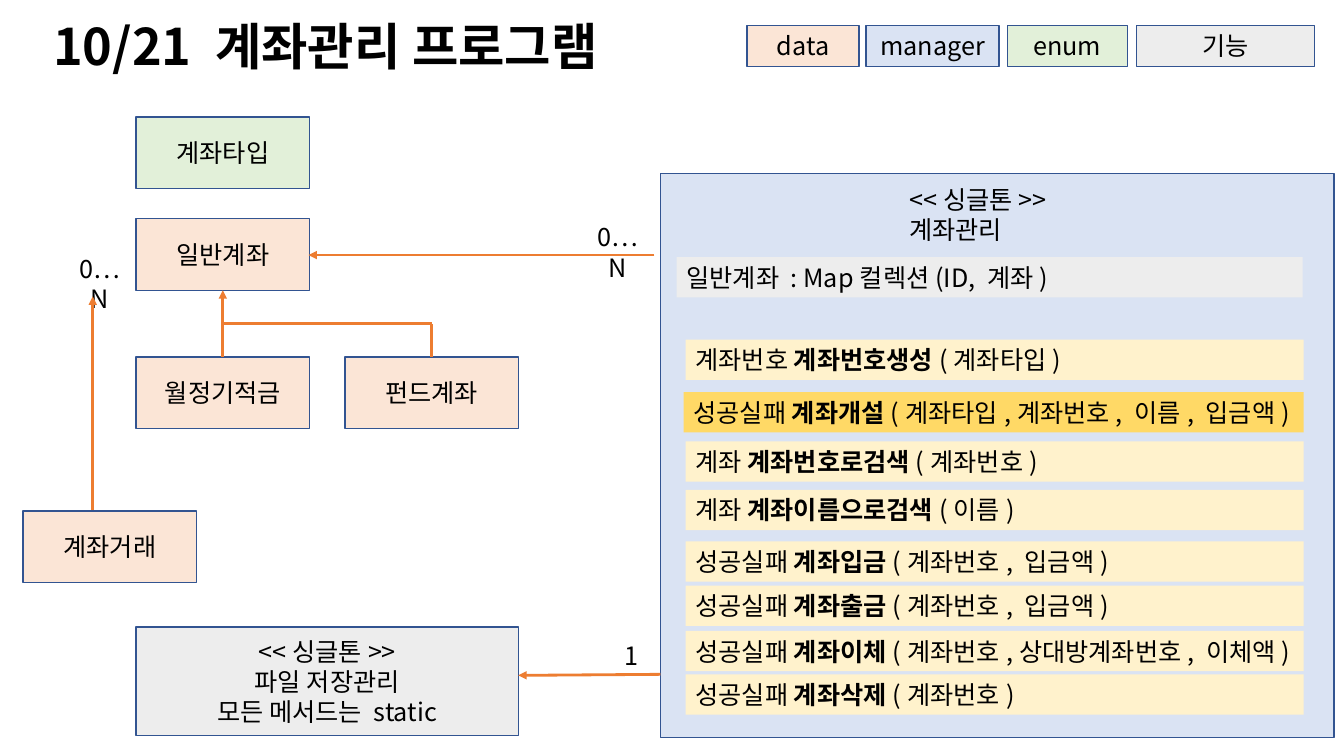
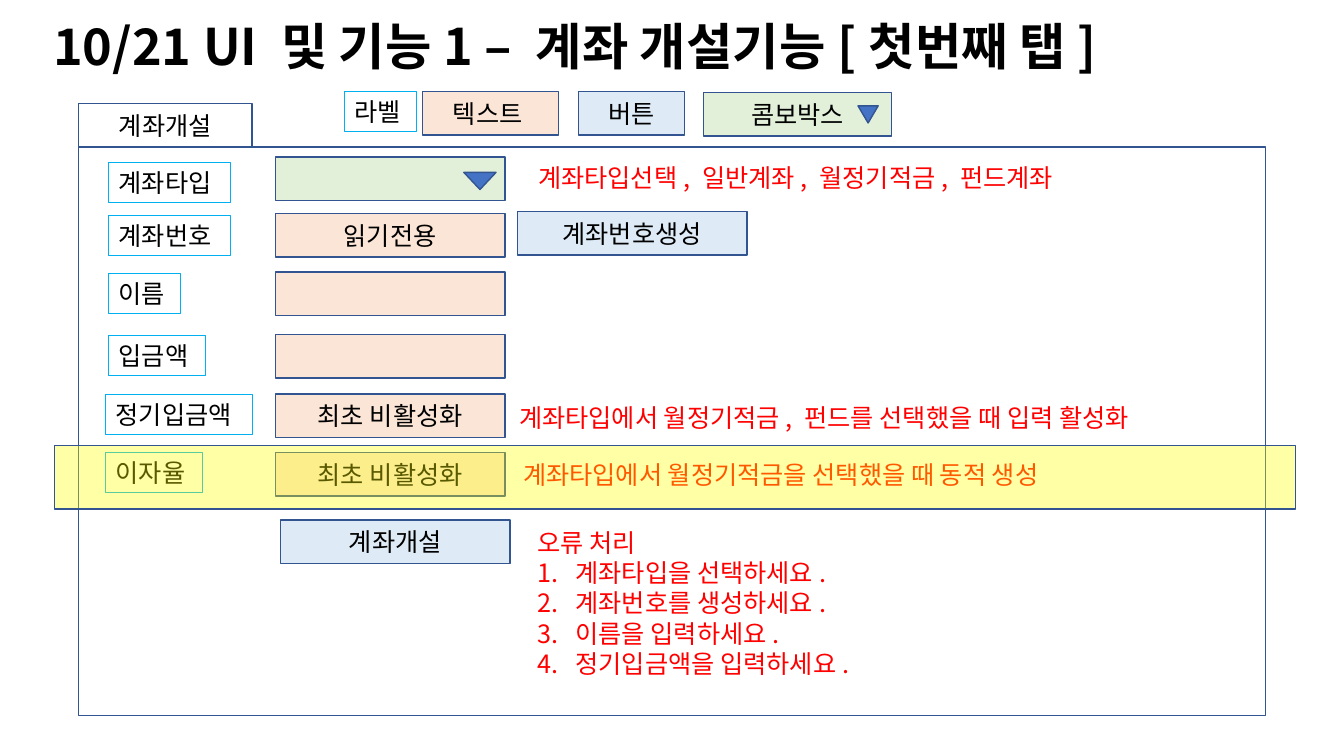
from lxml import etree
from pptx import Presentation, util as u
from pptx.dml.color import RGBColor
from pptx.enum import shapes, text
from pptx.oxml import ns

FONT = "Noto Sans CJK KR"
BLACK = RGBColor(0, 0, 0)
WHITE = RGBColor(0xFF, 0xFF, 0xFF)
RED = RGBColor(0xFF, 0, 0)
NAVY = RGBColor(0x32, 0x54, 0x91)
BLUE = RGBColor(0x44, 0x72, 0xC4)
CYAN = RGBColor(0, 0xB0, 0xF0)
PEACH = RGBColor(0xFB, 0xE5, 0xD6)
PALE = RGBColor(0xDA, 0xE3, 0xF3)
SKY = RGBColor(0xDE, 0xEB, 0xF7)
GREEN = RGBColor(0xE2, 0xF0, 0xD9)
GREY = RGBColor(0xED, 0xED, 0xED)
CREAM = RGBColor(0xFF, 0xF2, 0xCC)
GOLD = RGBColor(0xFF, 0xD9, 0x66)
YELLOW = RGBColor(0xFF, 0xFF, 0)
ORANGE = RGBColor(0xED, 0x7D, 0x31)

LEFT, MID = text.PP_ALIGN.LEFT, text.PP_ALIGN.CENTER
TOP, CORE = text.MSO_ANCHOR.TOP, text.MSO_ANCHOR.MIDDLE
RECT = shapes.MSO_SHAPE.RECTANGLE
DOWN = shapes.MSO_SHAPE.ISOSCELES_TRIANGLE

BASE = {"fill": None, "edge": None, "width": 1, "ink": BLACK, "size": 18,
        "bold": False, "align": LEFT, "anchor": TOP}
FRAME = {**BASE, "edge": NAVY, "align": MID, "anchor": CORE}
STYLES = {
    "title": {**BASE, "size": 36, "bold": True},
    "plain": BASE,
    "count": {**BASE, "align": MID},
    "note": {**BASE, "ink": RED},
    "label": {**BASE, "edge": CYAN, "width": 0.75},
    "prop": {**BASE, "fill": GREY},
    "call": {**BASE, "fill": CREAM},
    "main": {**BASE, "fill": GOLD},
    "data": {**FRAME, "fill": PEACH},
    "manager": {**FRAME, "fill": PALE},
    "enum": {**FRAME, "fill": GREEN},
    "tool": {**FRAME, "fill": GREY},
    "button": {**FRAME, "fill": SKY},
    "panel": {**FRAME, "fill": WHITE},
    "arrow": {**FRAME, "fill": BLUE},
    "glow": {**FRAME, "fill": YELLOW},
}

# Words between asterisks are bold; each line is a paragraph.
TITLES = ["10/21 계좌관리 프로그램", "10/21 UI 및 기능1 – 계좌 개설기능[첫번째 탭]"]

# style, left, top, width, height, words
CLASSES = [
    ("data", 1.35, 2.17, 1.72, 0.71, "일반계좌"),
    ("data", 1.35, 3.54, 1.72, 0.71, "월정기적금"),
    ("data", 3.42, 3.54, 1.72, 0.71, "펀드계좌"),
    ("data", 0.23, 5.07, 1.72, 0.71, "계좌거래"),
    ("enum", 1.35, 1.16, 1.72, 0.71, "계좌타입"),
    ("tool", 1.35, 6.22, 3.79, 1.08,
     "<<싱글톤>>\n파일 저장관리\n모든 메서드는 static"),
    ("manager", 6.55, 1.72, 6.68, 5.6, ""),
    ("plain", 8.92, 1.78, 1.67, 0.71, "<<싱글톤>>\n계좌관리"),
    ("prop", 6.71, 2.55, 6.21, 0.4, "일반계좌 : Map컬렉션(ID, 계좌)"),
    ("count", 5.77, 2.15, 0.72, 0.4, "0…N"),
    ("count", 0.63, 2.46, 0.72, 0.4, "0…N"),
    ("count", 6.09, 6.3, 0.34, 0.4, "1"),
]
LEGEND = [("data", 7.41, 1.11, "data"), ("manager", 8.59, 1.32, "manager"),
          ("enum", 9.99, 1.19, "enum"), ("tool", 11.27, 1.77, "기능")]
CALLS = [
    ("call", 3.37, "계좌번호 *계좌번호생성*(계좌타입)"),
    ("main", 3.89, "성공실패 *계좌개설*(계좌타입,계좌번호, 이름, 입금액)"),
    ("call", 4.38, "계좌 *계좌번호로검색*(계좌번호)"),
    ("call", 4.86, "계좌 *계좌이름으로검색*(이름)"),
    ("call", 5.37, "성공실패 *계좌입금*(계좌번호, 입금액)"),
    ("call", 5.81, "성공실패 *계좌출금*(계좌번호, 입금액)"),
    ("call", 6.26, "성공실패 *계좌이체*(계좌번호,상대방계좌번호, 이체액)"),
    ("call", 6.69, "성공실패 *계좌삭제*(계좌번호)"),
]
# from x, from y, to x, to y, arrowhead
LINKS = [
    (2.21, 3.54, 2.21, 2.88, True), (4.28, 3.54, 4.28, 3.21, False),
    (4.28, 3.21, 2.21, 3.21, False), (6.49, 2.53, 3.06, 2.53, True),
    (6.55, 6.69, 5.14, 6.7, True), (0.92, 5.06, 0.92, 2.94, True),
]

# label left, label top, label width, label, field style, field top, field words
FIELDS = [
    (1.08, 1.61, 1.21, "계좌타입", "enum", 1.56, ""),
    (1.08, 2.14, 1.21, "계좌번호", "data", 2.12, "읽기전용"),
    (1.08, 2.71, 0.71, "이름", "data", 2.7, ""),
    (1.08, 3.33, 0.96, "입금액", "data", 3.32, ""),
    (1.05, 3.91, 1.46, "정기입금액", "data", 3.91, "최초 비활성화"),
    (1.05, 4.49, 0.96, "이자율", "data", 4.49, "최초 비활성화"),
]
PARTS = [
    ("panel", 0.78, 1.46, 11.77, 5.64, ""),
    ("panel", 0.78, 1.03, 1.72, 0.43, "계좌개설"),
    ("label", 3.42, 0.91, 0.71, 0.4, "라벨"),
    ("data", 4.19, 0.91, 1.35, 0.43, "텍스트 "),
    ("button", 5.74, 0.91, 1.05, 0.43, "버튼"),
    ("enum", 6.98, 0.92, 1.86, 0.43, "콤보박스"),
    ("button", 5.13, 2.1, 2.28, 0.43, "계좌번호생성"),
    ("button", 2.78, 5.16, 2.28, 0.43, "계좌개설"),
    ("note", 5.24, 1.56, 5.43, 0.4, "계좌타입선택, 일반계좌, 월정기적금, 펀드계좌"),
    ("note", 5.05, 3.94, 6.85, 0.4,
     "계좌타입에서 월정기적금, 펀드를 선택했을 때 입력 활성화"),
    ("note", 5.09, 4.51, 5.95, 0.4,
     "계좌타입에서 월정기적금을 선택했을 때 동적 생성"),
]
ERRORS = ("오류 처리 \n계좌타입을 선택하세요.\n계좌번호를 생성하세요.\n"
          "이름을 입력하세요.\n정기입금액을 입력하세요.")
ARROWS = [(4.6, 1.71, 0.32, 0.17), (8.51, 1.05, 0.2, 0.17)]


def sub(node, tag, **attrs):
    """Append a drawing element and return it."""
    return etree.SubElement(node, ns.qn(tag), **attrs)


def put(thing, values):
    """Set attributes from a dict."""
    for name, value in values.items():
        setattr(thing, name, value)


def write(frame, style, words):
    """Fill a text frame, one paragraph a line."""
    put(frame, {"word_wrap": True, "vertical_anchor": style["anchor"]})
    for i, line in enumerate(words.split("\n")):
        para = frame.add_paragraph() if i else frame.paragraphs[0]
        para.alignment = style["align"]
        for j, piece in enumerate(line.split("*")):
            run = para.add_run()
            run.text = piece
            put(run.font, {"name": FONT, "size": u.Pt(style["size"]),
                           "bold": style["bold"] or j % 2 == 1})
            run.font.color.rgb = style["ink"]
            sub(run.font._element, "a:ea", typeface=FONT)


def box(slide, kind, x, y, w, h, words="", form=RECT):
    """Add a shape, or a text box when the style has no fill or edge."""
    style = STYLES[kind]
    place = [u.Inches(v) for v in (x, y, w, h)]
    if not (style["fill"] or style["edge"]):
        item = slide.shapes.add_textbox(*place)
    else:
        item = slide.shapes.add_shape(form, *place)
        item.shadow.inherit = False
    for part, hue in ((item.fill, style["fill"]), (item.line.fill, style["edge"])):
        if hue is None:
            part.background()
        else:
            part.solid()
            part.fore_color.rgb = hue
    if style["edge"]:
        item.line.width = u.Pt(style["width"])
    if words:
        write(item.text_frame, style, words)
    return item


def link(slide, x1, y1, x2, y2, head):
    """Add a straight line, with an arrowhead at its end if asked."""
    ends = [u.Inches(v) for v in (x1, y1, x2, y2)]
    item = slide.shapes.add_connector(shapes.MSO_CONNECTOR.STRAIGHT, *ends)
    item.line.color.rgb = ORANGE
    item.line.width = u.Pt(2)
    if head:
        sub(item.line._get_or_add_ln(), "a:tailEnd", type="triangle")
    sub(item._element.spPr, "a:effectLst")


def number(paras):
    """Turn paragraphs into a numbered list."""
    for para in paras:
        props = para._p.get_or_add_pPr()
        props.set("marL", str(u.Inches(0.38)))
        props.set("indent", str(-u.Inches(0.38)))
        sub(props, "a:buFont", typeface="+mj-lt")
        sub(props, "a:buAutoNum", type="arabicPeriod")


def start(deck, title):
    """Add a blank slide with its title."""
    slide = deck.slides.add_slide(deck.slide_layouts[6])
    box(slide, "title", 0.43, 0.1, 12, 0.71, title)
    return slide


def model(slide):
    """Draw the class diagram."""
    for part in CLASSES:
        box(slide, *part)
    for kind, x, w, words in LEGEND:
        box(slide, kind, x, 0.25, w, 0.41, words)
    for kind, y, words in CALLS:
        x = 6.78 if kind == "main" else 6.8
        box(slide, kind, x, y, 12.93 - x, 0.4, words)
    for ends in LINKS:
        link(slide, *ends)


def screen(slide):
    """Draw the account form."""
    for part in PARTS:
        box(slide, *part)
    for x, y, w, name, kind, top, words in FIELDS:
        box(slide, "label", x, y, w, 0.4, name)
        box(slide, kind, 2.73, top, 2.28, 0.43, words)
    for place in ARROWS:
        box(slide, "arrow", *place, form=DOWN).rotation = 180
    errors = box(slide, "note", 5.23, 5.18, 3.5, 1.62, ERRORS)
    number(errors.text_frame.paragraphs[1:])
    glow = box(slide, "glow", 0.54, 4.42, 12.31, 0.63)
    hue = glow._element.spPr.find(ns.qn("a:solidFill"))[0]
    sub(hue, "a:alpha", val="35000")


deck = Presentation()
put(deck, {"slide_width": u.Inches(13.33), "slide_height": u.Inches(7.5)})
for draw, title in zip((model, screen), TITLES):
    draw(start(deck, title))
deck.save("out.pptx")
